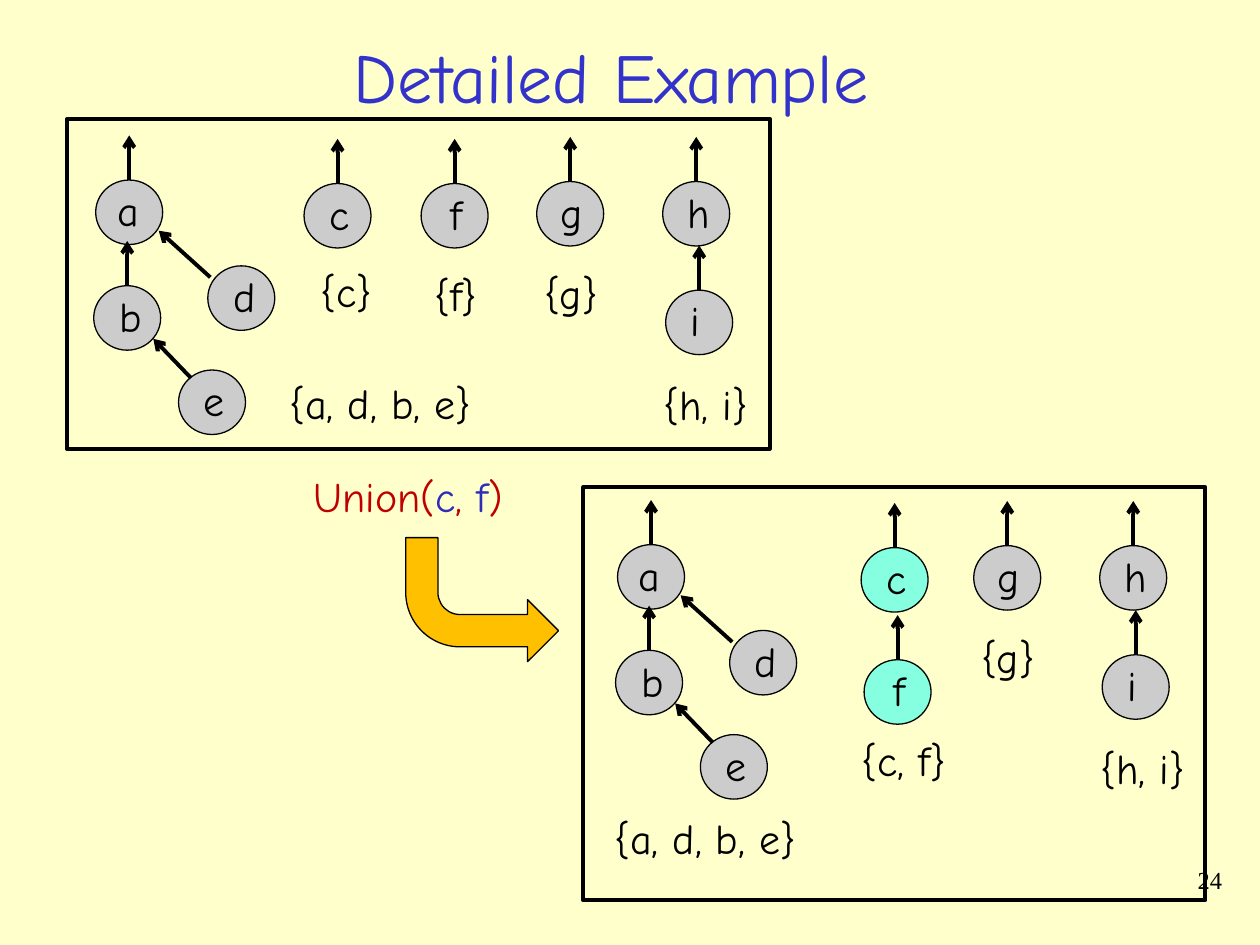
from lxml.etree import SubElement
from pptx import Presentation
from pptx.dml.color import RGBColor
from pptx.enum.shapes import MSO_CONNECTOR, MSO_SHAPE
from pptx.enum.text import MSO_ANCHOR, MSO_AUTO_SIZE, PP_ALIGN
from pptx.oxml.ns import qn
from pptx.util import Cm, Pt

INK, GREY, MINT, GOLD = "000000", "CCCCCC", "85FFE0", "FFC000"
TITLE, RED, BLUE, CREAM = "3333CC", "C00000", "2D2DB9", "FFFFCC"
BODY = {"name": "Comic Neue", "size": Pt(24)}
HEAD = {"name": "Comic Neue", "size": Pt(40)}
NUMBER = {"name": "Times New Roman", "size": Pt(14)}

NODE = (1.35, 1.3)
STEM = 0.9
# Letter: (inset from the left of its node, width of its text box)
LETTERS = {
    "a": (0.18, 0.94), "b": (0.28, 0.97), "c": (0.27, 0.91),
    "d": (0.26, 0.94), "e": (0.26, 0.91), "f": (0.34, 0.74),
    "g": (0.23, 0.94), "h": (0.25, 0.97), "i": (0.26, 0.69),
}
SETS = {"{a, d, b, e}": 4.2, "{c}": 1.6, "{f}": 1.42, "{g}": 1.65,
        "{h, i}": 2.25, "{c, f}": 2.25}

# Nodes and set names are placed relative to their panel.
BEFORE = {
    "box": (1.35, 2.4, 14.17, 6.65),
    "tree": (0.58, 1.23),
    "nodes": [("c", 4.78, 1.3, GREY), ("f", 7.14, 1.3, GREY),
              ("g", 9.47, 1.26, GREY), ("h", 12.01, 1.26, GREY),
              ("i", 12.07, 3.45, GREY)],
    "sets": [("{a, d, b, e}", 4.24, 5.08), ("{c}", 4.86, 2.83),
             ("{f}", 7.16, 2.91), ("{g}", 9.37, 2.87),
             ("{h, i}", 11.78, 5.1)],
}
AFTER = {
    "box": (11.76, 9.82, 12.54, 8.33),
    "tree": (0.69, 1.16),
    "nodes": [("c", 5.6, 1.22, MINT), ("f", 5.66, 3.48, MINT),
              ("g", 7.87, 1.18, GREY), ("h", 10.41, 1.18, GREY),
              ("i", 10.46, 3.38, GREY)],
    "sets": [("{a, d, b, e}", 0.38, 6.43), ("{c, f}", 5.36, 4.86),
             ("{g}", 7.77, 2.78), ("{h, i}", 10.18, 5.02)],
}


def color(code):
    return RGBColor.from_string(code)


def write(slide, box, runs, style=BODY, align=PP_ALIGN.LEFT, wrap=False):
    """Add a text box; runs are (text, colour) pairs."""
    frame = slide.shapes.add_textbox(*map(Cm, box)).text_frame
    frame.word_wrap = wrap
    if not wrap:
        frame.auto_size = MSO_AUTO_SIZE.SHAPE_TO_FIT_TEXT
    line = frame.paragraphs[0]
    line.alignment = align
    for text, code in runs:
        run = line.add_run()
        run.text = text
        for key, value in style.items():
            setattr(run.font, key, value)
        run.font.color.rgb = color(code)
    return frame


def draw(slide, kind, box, fill=None, width=0.75):
    shape = slide.shapes.add_shape(kind, *map(Cm, box))
    shape.shadow.inherit = False
    if fill:
        shape.fill.solid()
        shape.fill.fore_color.rgb = color(fill)
    else:
        shape.fill.background()
    shape.line.color.rgb = color(INK)
    shape.line.width = Pt(width)
    return shape


def arrow(slide, start, end):
    link = slide.shapes.add_connector(
        MSO_CONNECTOR.STRAIGHT, *map(Cm, start + end))
    link.line.color.rgb = color(INK)
    link.line.width = Pt(2.25)
    SubElement(link.line._get_or_add_ln(), qn("a:tailEnd"), type="arrow")
    SubElement(link._element.spPr, qn("a:effectLst"))


def node(slide, letter, x, y, fill=GREY, stem=True):
    """Draw a lettered circle, with an arrow up from its top if stem."""
    wide, high = NODE
    draw(slide, MSO_SHAPE.OVAL, (x, y, wide, high), fill)
    inset, width = LETTERS[letter]
    write(slide, (x + inset, y - 0.03, width, 1.27), [(letter, INK)])
    if stem:
        mid = x + wide / 2
        arrow(slide, (mid, y), (mid, y - STEM))


def tree(slide, x, y):
    """Draw the tree of a, b, d and e with the root's corner at x, y."""
    node(slide, "a", x, y)
    node(slide, "b", x - 0.04, y + 2.13)
    node(slide, "d", x + 2.26, y + 1.73, stem=False)
    arrow(slide, (x + 2.31, y + 1.96), (x + 1.27, y + 1.02))
    node(slide, "e", x + 1.67, y + 3.83, stem=False)
    arrow(slide, (x + 1.92, y + 3.99), (x + 1.16, y + 3.2))


def panel(slide, box, forest):
    left, top = box[:2]
    x, y = forest["tree"]
    tree(slide, left + x, top + y)
    for letter, x, y, fill in forest["nodes"]:
        node(slide, letter, left + x, top + y, fill)
    for name, x, y in forest["sets"]:
        write(slide, (left + x, top + y, SETS[name], 1.27), [(name, INK)])
    draw(slide, MSO_SHAPE.RECTANGLE, box, width=2.25)


def union(slide, box):
    """Show the call, with the bent arrow below it."""
    left, top, width, high = box
    write(slide, (left, top, 4.32, 1.27),
          [("Union(", RED), ("c", BLUE), (", ", RED), ("f", BLUE), (")", RED)])
    turn = draw(slide, MSO_SHAPE.BENT_ARROW,
                (left + 2.11, top + 1.47, width - 2.11, high - 1.47), GOLD)
    turn.adjustments[0] = 0.26
    turn._element.spPr.xfrm.set("flipV", "1")


def title(slide, box):
    frame = write(slide, box, [("Detailed Example", TITLE)], HEAD,
                  PP_ALIGN.CENTER, True)
    frame.vertical_anchor = MSO_ANCHOR.MIDDLE


def main():
    deck = Presentation()
    deck.slide_width, deck.slide_height = Cm(25.4), Cm(19.05)
    slide = deck.slides.add_slide(deck.slide_layouts[6])
    back = slide.background.fill
    back.solid()
    back.fore_color.rgb = color(CREAM)

    write(slide, (19.61, 17.31, 5.28, 1.27), [("24", INK)], NUMBER,
          PP_ALIGN.RIGHT, True)
    title(slide, (0.94, 0.65, 22.76, 1.75))
    for forest in (AFTER, BEFORE):
        panel(slide, forest["box"], forest)
    union(slide, (6.07, 9.37, 5.19, 3.97))
    deck.save("out.pptx")


if __name__ == "__main__":
    main()
